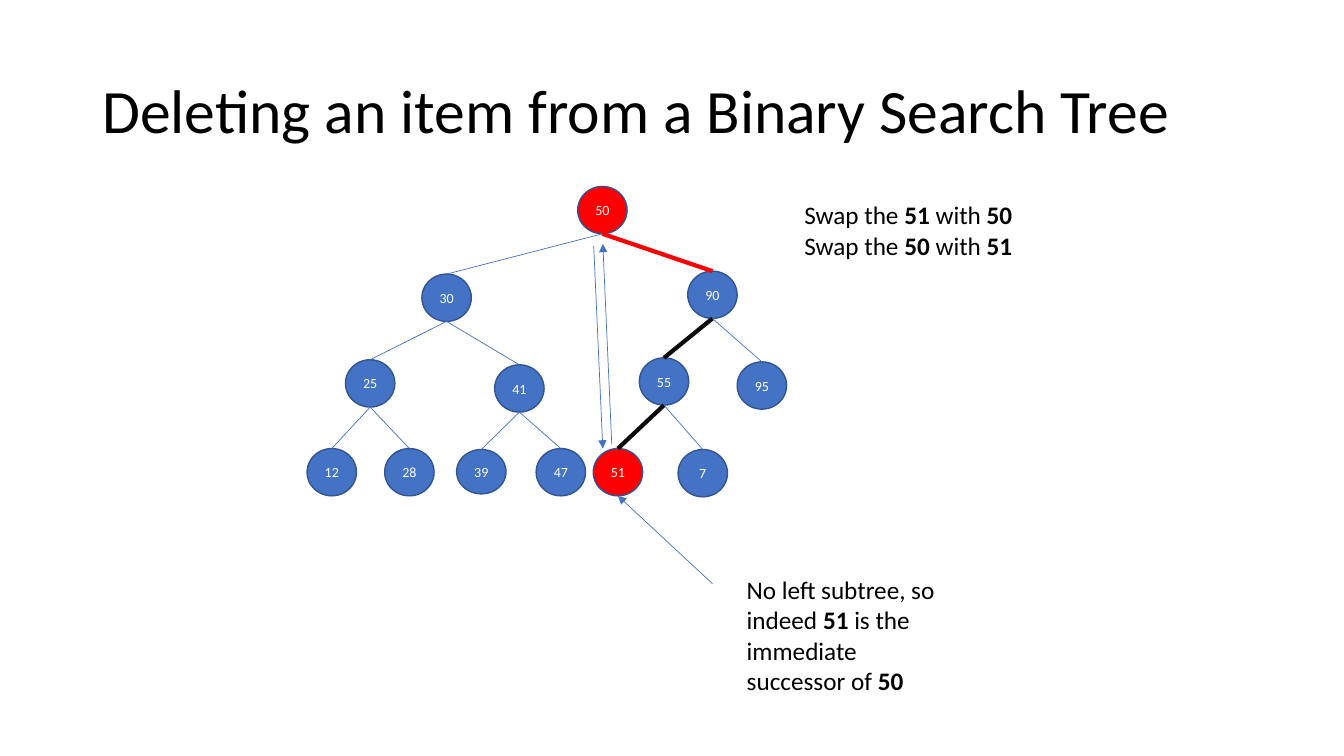
from lxml import etree
from pptx import Presentation
from pptx import util as u
from pptx.dml.color import RGBColor
from pptx.enum import shapes, text
from pptx.oxml.ns import qn

BLUE, NAVY, RED, BLACK = "4472C4", "325491", "FF0000", "0D0D0D"
NODE_WIDTH, NODE_HEIGHT = 35.3, 33.8

# Tree nodes: centre x and top, in points
NODES = {
    "50": (430.3, 133.2),
    "30": (319, 195.8), "90": (508.9, 193.7),
    "25": (264.4, 257), "41": (371, 260.6),
    "55": (474.3, 255.6), "95": (544.2, 258.5),
    "12": (237, 320.4), "28": (292.4, 320.4),
    "39": (343.8, 321.1), "47": (400.6, 320.4),
    "51": (441.4, 320.4), "7": (502, 321.1),
}
HEIGHTS = {"39": 31.7}
CHILDREN = {
    "50": ("30", "90"), "30": ("25", "41"), "90": ("55", "95"),
    "25": ("12", "28"), "41": ("39", "47"), "55": ("51", "7"),
}
SWAPPED = ("50", "51")
SEARCH_PATH = {"90": RED, "55": BLACK, "51": BLACK}  # edge leading to each node


def color(value):
    return RGBColor.from_string(value)


class TreeSlide:
    font = "Calibri"

    def __init__(self, deck):
        self.slide = deck.slides.add_slide(deck.slide_layouts[6])

    def style(self, span, size, fill, bold=False):
        span.font.name = self.font
        span.font.size = u.Pt(size)
        span.font.bold = bold
        span.font.color.rgb = color(fill)

    def text(self, area, paragraphs, size=18, wrap=True, spacing=None,
             anchor=text.MSO_ANCHOR.TOP):
        """Each paragraph is a list of pieces; every second piece is bold."""
        box = self.slide.shapes.add_textbox(*map(u.Pt, area))
        frame = box.text_frame
        frame.word_wrap = wrap
        frame.vertical_anchor = anchor
        for index, pieces in enumerate(paragraphs):
            para = frame.add_paragraph() if index else frame.paragraphs[0]
            para.line_spacing = spacing
            for position, piece in enumerate(pieces):
                span = para.add_run()
                span.text = piece
                self.style(span, size, "000000", position % 2 == 1)

    def node(self, label, center, top, height, fill):
        circle = self.slide.shapes.add_shape(
            shapes.MSO_SHAPE.OVAL, u.Pt(center - NODE_WIDTH / 2), u.Pt(top),
            u.Pt(NODE_WIDTH), u.Pt(height))
        circle.shadow.inherit = False
        circle.fill.solid()
        circle.fill.fore_color.rgb = color(fill)
        circle.line.color.rgb = color(NAVY)
        circle.line.width = u.Pt(1)
        frame = circle.text_frame
        frame.margin_left = frame.margin_right = 0
        frame.vertical_anchor = text.MSO_ANCHOR.MIDDLE
        frame.text = label
        para = frame.paragraphs[0]
        para.alignment = text.PP_ALIGN.CENTER
        self.style(para.runs[0], 10, "FFFFFF")

    def line(self, start, end, stroke=BLUE, width=0.5, arrow=False):
        connector = self.slide.shapes.add_connector(
            shapes.MSO_CONNECTOR.STRAIGHT, *map(u.Pt, (*start, *end)))
        connector.line.color.rgb = color(stroke)
        connector.line.width = u.Pt(width)
        if arrow:
            outline = connector.line._get_or_add_ln()
            etree.SubElement(outline, qn("a:tailEnd"), type="triangle")
        etree.SubElement(connector._element.spPr, qn("a:effectLst"))


def main():
    deck = Presentation()
    deck.slide_width, deck.slide_height = u.Pt(960), u.Pt(540)
    page = TreeSlide(deck)

    # Title
    page.text((66, 28.8, 828, 104.4),
              [["Deleting an item from a Binary Search Tree"]],
              size=44, spacing=0.9, anchor=text.MSO_ANCHOR.MIDDLE)

    # Nodes
    for label, (center, top) in NODES.items():
        page.node(label, center, top, HEIGHTS.get(label, NODE_HEIGHT),
                  RED if label in SWAPPED else BLUE)

    # Edges from the bottom of a parent to the top of a child
    for parent, children in CHILDREN.items():
        center, top = NODES[parent]
        for child in children:
            on_path = child in SEARCH_PATH
            page.line((center, top + NODE_HEIGHT), NODES[child],
                      SEARCH_PATH.get(child, BLUE), 3 if on_path else 0.5)

    # Swap arrows and pointer to the successor
    page.line((424.1, 175.7), (430.6, 320.4), arrow=True)
    page.line((437, 317.5), (430.6, 174.2), arrow=True)
    page.line((508.9, 416.9), (441.4, 354.2), arrow=True)

    # Notes beside the tree
    page.text((526.3, 406.8, 157, 94.3),
              [["No left subtree, so indeed ", "51 ",
                "is the immediate successor of ", "50"]])
    page.text((567.4, 139, 164.9, 72.7),
              [["Swap the ", "51", " with ", "50"],
               ["Swap the ", "50", " with ", "51"]], wrap=False)

    deck.save("out.pptx")


if __name__ == "__main__":
    main()
